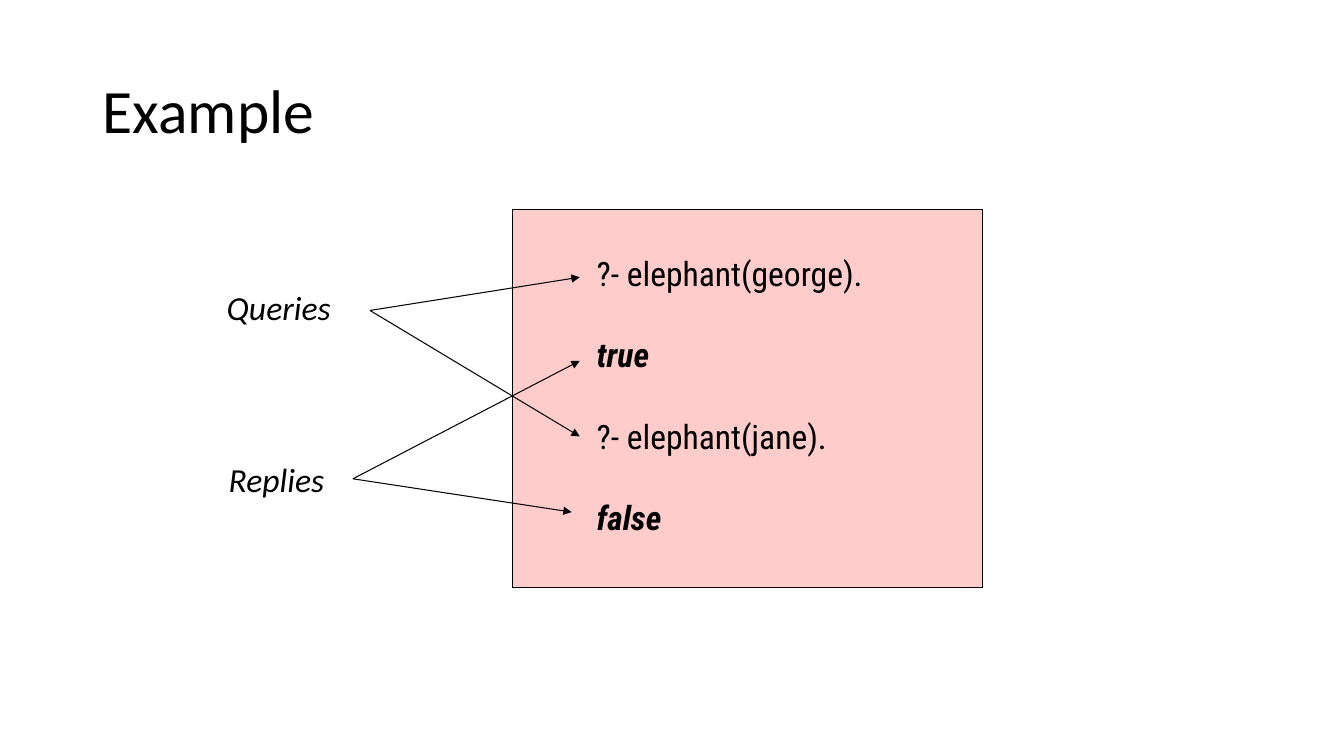
from dataclasses import dataclass

from lxml import etree
from pptx import Presentation
from pptx.dml.color import RGBColor
from pptx.enum import shapes as es, text as et
from pptx.oxml import ns
from pptx.slide import Slide
from pptx.util import Inches, Pt

BLACK = RGBColor(0, 0, 0)
PINK = RGBColor(0xFF, 0xCC, 0xCC)
SANS = "Calibri"
CODE = "Roboto Condensed"


@dataclass(frozen=True)
class Line:
    words: str
    bold: bool = False
    slant: bool = False


@dataclass(frozen=True)
class Label:
    left: float
    top: float
    width: float
    height: float
    lines: tuple[Line, ...]
    font: str = SANS
    size: int = 24
    gap: float = 0
    lead: float = 1
    anchor: et.MSO_ANCHOR = et.MSO_ANCHOR.TOP


@dataclass(frozen=True)
class Fan:
    start: tuple[float, float]
    ends: tuple[tuple[float, float], ...]


LABELS = (
    Label(0.92, 0.4, 11.5, 1.45, (Line("Example"),), size=44, lead=0.9,
          anchor=et.MSO_ANCHOR.MIDDLE),
    Label(5.82, 2.46, 3.26, 2.93, (
        Line("?- elephant(george)."),
        Line("true", True, True),
        Line("?- elephant(jane)."),
        Line("false", True, True),
    ), font=CODE, gap=29.3),
    Label(2.15, 2.8, 1.26, 0.5, (Line("Queries", slant=True),)),
    Label(2.17, 4.5, 1.18, 0.5, (Line("Replies", slant=True),)),
)
FANS = (
    Fan((3.67, 3.08), ((5.75, 2.75), (5.75, 4.33))),
    Fan((3.5, 4.75), ((5.75, 3.58), (5.67, 5.08))),
)


def draw_panel(slide: Slide) -> None:
    panel = slide.shapes.add_shape(
        es.MSO_SHAPE.RECTANGLE, Inches(5.08), Inches(2.08), Inches(4.67), Inches(3.75))
    panel.shadow.inherit = False
    panel.fill.solid()
    panel.fill.fore_color.rgb = PINK
    panel.line.color.rgb = BLACK
    panel.line.width = Pt(0.75)


def draw_label(slide: Slide, label: Label) -> None:
    box = slide.shapes.add_textbox(
        Inches(label.left), Inches(label.top), Inches(label.width), Inches(label.height))
    frame = box.text_frame
    frame.word_wrap = True
    frame.vertical_anchor = label.anchor
    for index, line in enumerate(label.lines):
        para = frame.add_paragraph() if index else frame.paragraphs[0]
        para.line_spacing = label.lead
        para.space_after = Pt(label.gap)
        run = para.add_run()
        run.text = line.words
        run.font.name = label.font
        run.font.size = Pt(label.size)
        run.font.bold = line.bold
        run.font.italic = line.slant
        run.font.color.rgb = BLACK


def draw_fan(slide: Slide, fan: Fan) -> None:
    for end in fan.ends:
        arrow = slide.shapes.add_connector(
            es.MSO_CONNECTOR.STRAIGHT, *map(Inches, fan.start + end))
        arrow.line.color.rgb = BLACK
        arrow.line.width = Pt(0.75)
        tip = etree.SubElement(arrow.line._get_or_add_ln(), ns.qn("a:tailEnd"))
        tip.set("type", "triangle")
        etree.SubElement(arrow._element.spPr, ns.qn("a:effectLst"))


def main() -> None:
    deck = Presentation()
    deck.slide_width = Inches(13.33)
    deck.slide_height = Inches(7.5)
    slide = deck.slides.add_slide(deck.slide_layouts[6])
    draw_panel(slide)
    for label in LABELS:
        draw_label(slide, label)
    for fan in FANS:
        draw_fan(slide, fan)
    deck.save("out.pptx")


if __name__ == "__main__":
    main()
